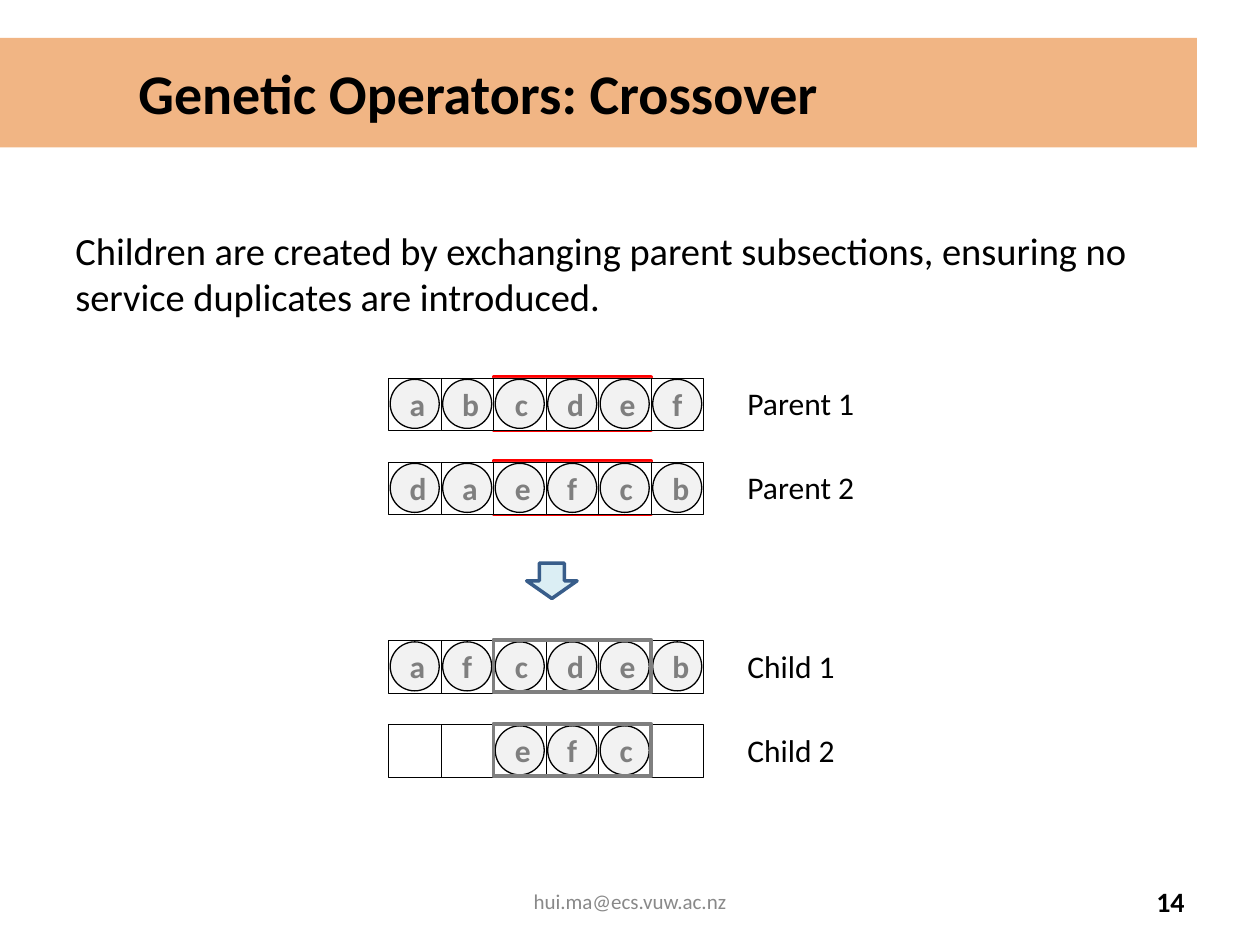
from lxml.etree import SubElement
from pptx import Presentation
from pptx.dml.color import RGBColor
from pptx.enum.shapes import MSO_SHAPE as Shape
from pptx.enum.text import MSO_ANCHOR as Anchor, PP_ALIGN as Align
from pptx.oxml.ns import qn
from pptx.util import Pt

ORANGE = RGBColor(0xE4, 0x6C, 0x0A)
BLACK = RGBColor(0x00, 0x00, 0x00)
WHITE = RGBColor(0xFF, 0xFF, 0xFF)
RED = RGBColor(0xFF, 0x00, 0x00)
GREY = RGBColor(0x7F, 0x7F, 0x7F)
FOOTER_GREY = RGBColor(0x89, 0x89, 0x89)
PALE_GREY = RGBColor(0xF2, 0xF2, 0xF2)
PALE_BLUE = RGBColor(0xDB, 0xEE, 0xF4)
BLUE = RGBColor(0x38, 0x5D, 0x8A)

CELL = 30
GENE = 28
ROW_LEFT = 222
LABEL_LEFT = 420


def add_outline(shapes, kind, left, top, width, height, fill, line, weight):
    shape = shapes.add_shape(kind, Pt(left), Pt(top), Pt(width), Pt(height))
    shape.shadow.inherit = False
    if fill is None:
        shape.fill.background()
    else:
        shape.fill.solid()
        shape.fill.fore_color.rgb = fill
    if line is None:
        shape.line.fill.background()
    else:
        shape.line.color.rgb = line
        shape.line.width = Pt(weight)
    return shape


def write(shape, text, size, color=BLACK, bold=False, align=Align.LEFT, anchor=Anchor.MIDDLE, wrap=True):
    frame = shape.text_frame
    frame.word_wrap = wrap
    frame.vertical_anchor = anchor
    paragraph = frame.paragraphs[0]
    paragraph.alignment = align
    run = paragraph.add_run()
    run.text = text
    run.font.name = "Calibri"
    run.font.size = Pt(size)
    run.font.bold = bold
    run.font.color.rgb = color


prs = Presentation()
prs.slide_width = Pt(720)
prs.slide_height = Pt(540)
slide = prs.slides.add_slide(prs.slide_layouts[6])
shapes = slide.shapes

title = add_outline(shapes, Shape.RECTANGLE, 0, 21.6, 684, 62.64, ORANGE, None, 0)
title_color = title.fill._xPr.find(qn("a:solidFill"))[0]
SubElement(title_color, qn("a:alpha"), val="50000")
title_properties = title.text_frame.paragraphs[0]._p.get_or_add_pPr()
tab_stops = SubElement(title_properties, qn("a:tabLst"))
SubElement(tab_stops, qn("a:tab"), pos=str(Pt(72)), algn="l")
write(title, "\tGenetic Operators: Crossover", 32, bold=True)

page_number = shapes.add_textbox(Pt(516), Pt(500.4), Pt(168), Pt(28.8))
write(page_number, "14", 16, bold=True, align=Align.RIGHT)

explanation = shapes.add_textbox(Pt(36), Pt(126), Pt(648), Pt(66.24))
write(
    explanation,
    "Children are created by exchanging parent subsections, ensuring no service duplicates are introduced.",
    22,
    anchor=Anchor.TOP,
)

crossover_arrow = add_outline(shapes, Shape.RIGHT_ARROW, 305.28, 317.52, 20.16, 28.8, PALE_BLUE, BLUE, 2)
crossover_arrow.rotation = 90

chromosomes = [
    ("Parent 1", 216, "abcdef", RED),
    ("Parent 2", 264, "daefcb", RED),
    ("Child 1", 366, "afcdeb", GREY),
    ("Child 2", 414, "  efc ", GREY),
]
for name, top, genes, frame_color in chromosomes:
    label = shapes.add_textbox(Pt(LABEL_LEFT), Pt(top), Pt(76), Pt(28.8))
    write(label, name, 18, anchor=Anchor.TOP, wrap=False)

    subsection = (Shape.RECTANGLE, ROW_LEFT + 2 * CELL, top - 0.4, 3 * CELL, CELL, None, frame_color, 2.25)
    if frame_color == RED:
        add_outline(shapes, *subsection)

    row = shapes.add_group_shape().shapes
    for column in range(len(genes)):
        add_outline(row, Shape.RECTANGLE, ROW_LEFT + column * CELL, top, CELL, CELL, WHITE, BLACK, 0.25)
    for column, gene in enumerate(genes):
        if gene != " ":
            circle = add_outline(
                row, Shape.OVAL, ROW_LEFT + column * CELL + 1, top + 0.8, GENE, GENE, PALE_GREY, BLACK, 0.75
            )
            write(circle, gene, 18, GREY, bold=True, align=Align.CENTER)
    if frame_color == GREY:
        add_outline(row, *subsection)

email = shapes.add_textbox(Pt(246), Pt(500.4), Pt(228), Pt(28.8))
write(email, "hui.ma@ecs.vuw.ac.nz", 12, FOOTER_GREY, align=Align.CENTER)

prs.save("out.pptx")
